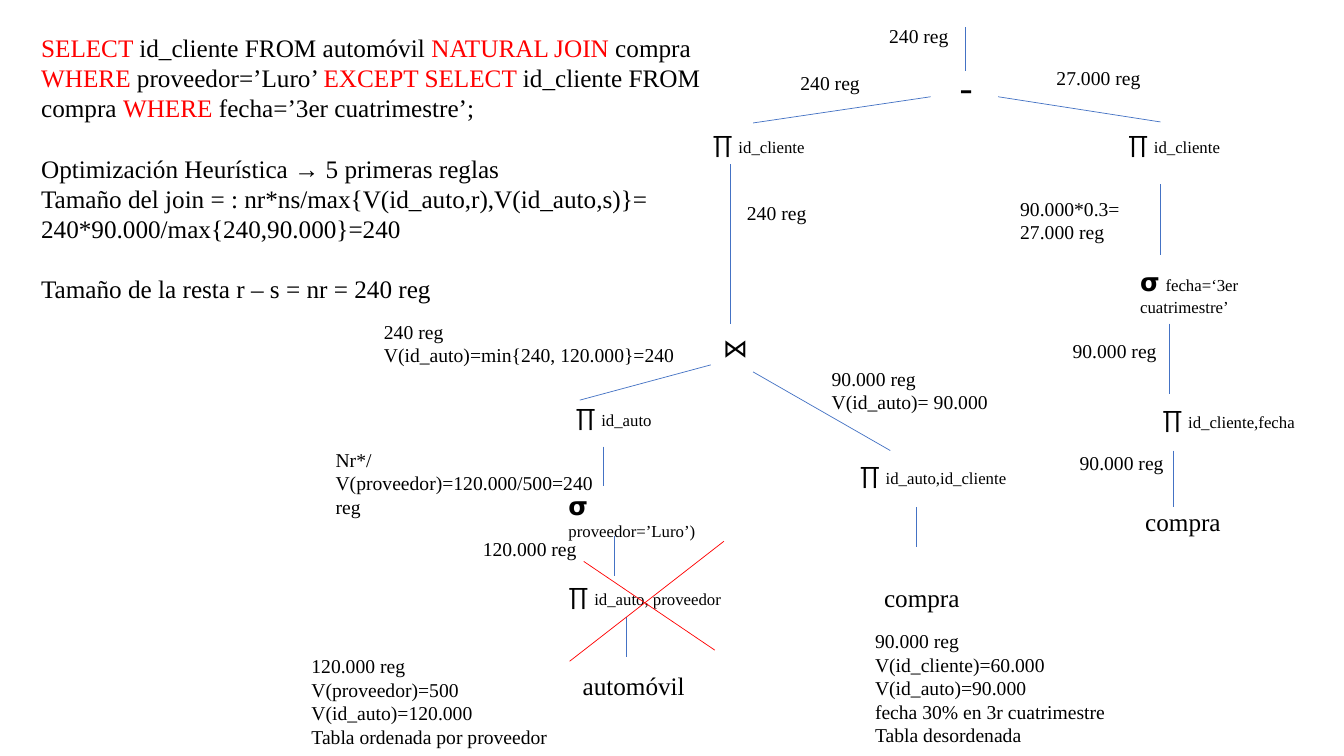
from lxml.etree import SubElement
from pptx import Presentation
from pptx.dml.color import RGBColor as Rgb
from pptx.enum.shapes import MSO_CONNECTOR as Connector
from pptx.enum.text import MSO_AUTO_SIZE as AutoSize
from pptx.oxml.ns import qn
from pptx.util import Inches, Pt

COLORS = {"text": "000000", "keyword": "FF0000", "branch": "4472C4", "cross": "FF0000"}
SERIF, SYMBOL = "Times New Roman", "Calibri"
CELL = 0.1
NODE_ROWS = 4

QUERY = [
    ("SELECT ", "keyword"), ("id_cliente FROM automóvil ", "text"),
    ("NATURAL JOIN", "keyword"), (" compra ", "text"),
    ("WHERE", "keyword"), (" proveedor=’Luro’ ", "text"),
    ("EXCEPT SELECT ", "keyword"), ("id_cliente FROM compra ", "text"),
    ("WHERE", "keyword"), (" fecha=’3er cuatrimestre’;", "text"),
]
EXPLANATION = [
    ("Optimización Heurística → 5 primeras reglas", 21.5),
    ("Tamaño del join = : nr*ns/max{V(id_auto,r),V(id_auto,s)}=", 0),
    ("240*90.000/max{240,90.000}=240", 0),
    ("Tamaño de la resta r – s = nr = 240 reg", 21.5),
]
PROJECTIONS = [
    (69.7, 12.2, 14.6, "id_cliente"),
    (110.9, 12.2, 14.6, "id_cliente"),
    (55.4, 57.1, 18.7, "id_auto, proveedor"),
    (56.1, 39.3, 18.7, "id_auto"),
    (84.3, 45.1, 18.7, "id_auto,id_cliente"),
    (114.3, 39.5, 18.7, "id_cliente,fecha"),
]
TABLES = [
    (56.8, 66, 12.9, "automóvil"),
    (86.7, 57.3, 11, "compra"),
    (112.6, 49.7, 11, "compra"),
]
NOTES = [
    (29.9, 64.4, 26.9, 4,
     "120.000 reg\nV(proveedor)=500\nV(id_auto)=120.000\nTabla ordenada por proveedor"),
    (46.9, 52.8, 13.6, 1, "120.000 reg"),
    (32.3, 43.9, 28.2, 2, "Nr*/V(proveedor)=120.000/500=240 reg"),
    (37.1, 31.2, 34.4, 2, "240 reg\nV(id_auto)=min{240, 120.000}=240"),
    (85.8, 61.9, 26.9, 5,
     "90.000 reg\nV(id_cliente)=60.000\nV(id_auto)=90.000\n"
     "fecha 30% en 3r cuatrimestre\nTabla desordenada"),
    (81.5, 35.9, 26.9, 2, "90.000 reg\nV(id_auto)= 90.000"),
    (73.1, 19.4, 11.2, 1, "240 reg"),
    (78.4, 6.5, 11.2, 1, "240 reg"),
    (106.1, 44.2, 13.6, 1, "90.000 reg"),
    (105.4, 33.1, 13.6, 1, "90.000 reg"),
    (100.2, 19, 12.4, 2, "90.000*0.3=27.000 reg"),
    (103.8, 6, 12.4, 1, "27.000 reg"),
    (87.2, 1.9, 11.2, 1, "240 reg"),
]
BRANCHES = [
    (70.5, 36.2, 57.5, 39.7), (74.7, 36.9, 88.3, 44.7), (72.4, 16.3, 72.4, 32.1),
    (116, 32.1, 116, 39.1), (115.1, 18.3, 115.1, 25.3), (92.3, 9.6, 74.7, 12.2),
    (99, 9.6, 115.1, 12.1), (95.7, 2.7, 95.7, 7), (62.1, 61.2, 62.1, 65.2),
    (60.9, 53.2, 60.9, 57.1), (59.8, 44.3, 59.8, 48.2), (90.9, 50.3, 90.9, 54.3),
    (116.4, 44.7, 116.4, 50.3),
]
CROSS = [(56.5, 65.6, 71.8, 53.7), (70.9, 64.5, 57.9, 55.7)]


def grid(*cells):
    """Turn grid columns or rows into lengths."""
    return [Inches(cell * CELL) for cell in cells]


def add_box(page, column, row, columns, rows, wrap=True):
    """Add an empty text box and return its text frame."""
    frame = page.shapes.add_textbox(*grid(column, row, columns, rows)).text_frame
    frame.word_wrap = wrap
    frame.auto_size = AutoSize.SHAPE_TO_FIT_TEXT
    return frame


def style(span, size, font=SERIF, color="text"):
    """Give a run its size, font and colour."""
    span.font.size = Pt(size)
    span.font.name = font
    span.font.color.rgb = Rgb.from_string(COLORS[color])


def add_label(page, column, row, columns, rows, text, size, font=SERIF):
    """Add a text box in one style, one paragraph for each line."""
    frame = add_box(page, column, row, columns, rows)
    frame.text = text
    for para in frame.paragraphs:
        for span in para.runs:
            style(span, size, font)


def add_operator(page, column, row, columns, symbol, subscript, wrap=True):
    """Add an algebra operator with its small condition."""
    frame = add_box(page, column, row, columns, NODE_ROWS, wrap)
    para = frame.paragraphs[0]
    for text, size, font in ((symbol + " ", 18, SYMBOL), (subscript, 12, SERIF)):
        span = para.add_run()
        span.text = text
        style(span, size, font)
    return frame


def add_query(page):
    """Add the SQL query and the size calculations."""
    frame = add_box(page, 3.1, 2.7, 70.7, 46.4)
    for text, color in QUERY:
        span = frame.paragraphs[0].add_run()
        span.text = text
        style(span, 18, color=color)
    for text, gap in EXPLANATION:
        para = frame.add_paragraph()
        para.text = text
        para.space_before = Pt(gap)
        style(para.runs[0], 18)


def add_line(page, ends, color):
    """Draw a thin straight line between two grid points."""
    line = page.shapes.add_connector(Connector.STRAIGHT, *grid(*ends))
    line.line.color.rgb = Rgb.from_string(COLORS[color])
    line.line.width = Pt(0.5)
    SubElement(line._element.spPr, qn("a:effectLst"))


def main():
    """Build the query tree slide."""
    deck = Presentation()
    deck.slide_width, deck.slide_height = Inches(13.33), Inches(7.5)
    page = deck.slides.add_slide(deck.slide_layouts[6])
    add_query(page)
    for column, row, columns, fields in PROJECTIONS:
        add_operator(page, column, row, columns, "∏", fields)
    add_operator(page, 55.4, 48.2, 17, "𝞂", "proveedor=’Luro’)", wrap=False)
    date_filter = add_operator(page, 112.1, 25.9, 20.9, "𝞂", "fecha=‘3er cuatrimestre’")
    date_filter.margin_right = Inches(0.6)
    add_label(page, 70.7, 32.5, 6.1, NODE_ROWS, "⋈", 18, SYMBOL)
    add_label(page, 94.2, 5.7, 7, 5.7, "-", 28)
    for column, row, columns, name in TABLES:
        add_label(page, column, row, columns, NODE_ROWS, name, 18)
    for ends in BRANCHES:
        add_line(page, ends, "branch")
    for column, row, columns, lines, text in NOTES:
        add_label(page, column, row, columns, 1 + 2.35 * lines, text, 14)
    for ends in CROSS:
        add_line(page, ends, "cross")
    deck.save("out.pptx")


if __name__ == "__main__":
    main()
